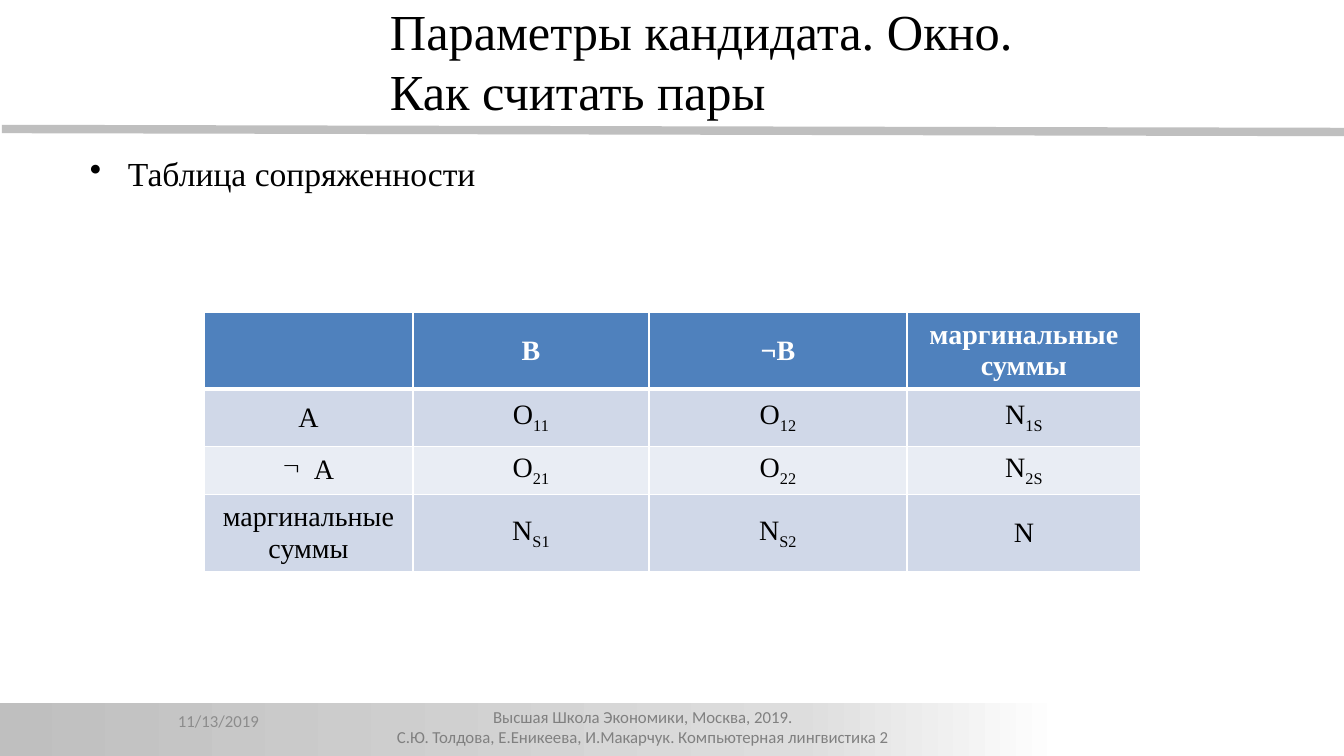
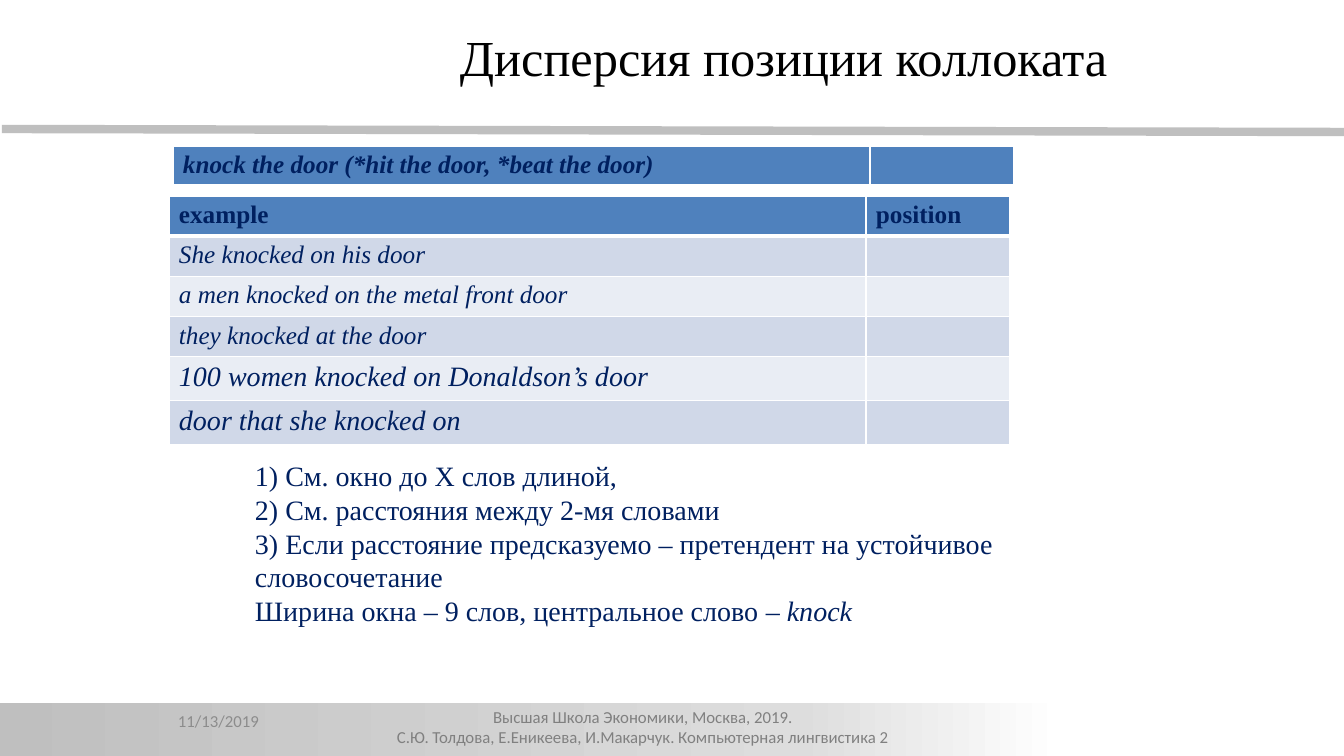
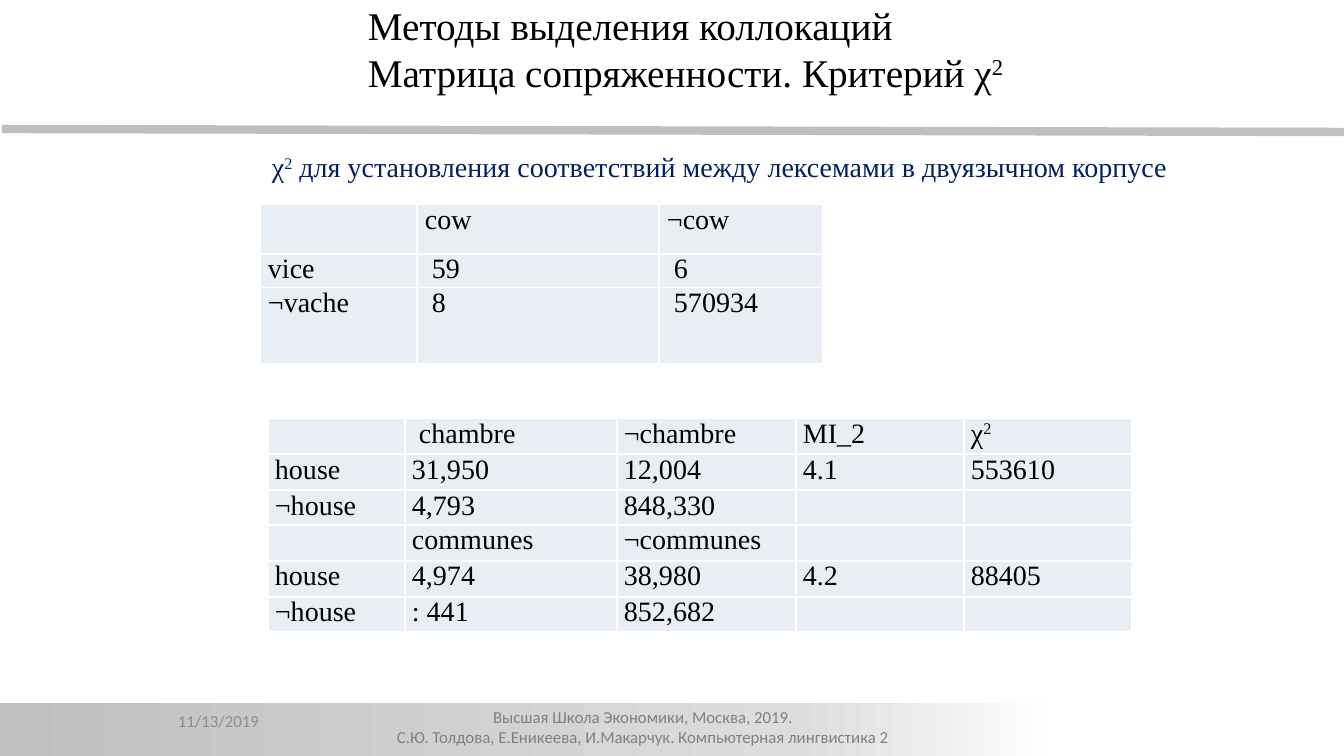
import copy
import pptx
import pptx.chart.data
import pptx.dml.color
import pptx.enum.shapes
import pptx.enum.text
import pptx.oxml
import pptx.oxml.ns
import pptx.util

PX = 12192000 / 1344
SERIF = "Times New Roman"
SANS = "Calibri"
COLOURS = {
    "black": "000000", "white": "FFFFFF", "navy": "002060",
    "header": "4F81BD", "band": "D0D8E8", "light": "E9EDF4",
    "rule": "BFBFBF", "mid": "DDDDDD", "footer": "808080", "date": "8C8C8C",
}
RGB = {name: pptx.dml.color.RGBColor.from_string(value) for name, value in COLOURS.items()}
NS = pptx.oxml.ns.nsdecls("a")
LEFT = pptx.enum.text.PP_ALIGN.LEFT
CENTER = pptx.enum.text.PP_ALIGN.CENTER
TOP = pptx.enum.text.MSO_ANCHOR.TOP
MIDDLE = pptx.enum.text.MSO_ANCHOR.MIDDLE


def write(paragraph, text, size, colour, bold=False, italic=False, font=SERIF, shift=30):
    for index, part in enumerate(text.split("|")):
        run = paragraph.add_run()
        run.text = part
        run.font.size = pptx.util.Pt(size)
        run.font.name = font
        run.font.bold = bold
        run.font.italic = italic
        run.font.color.rgb = RGB[colour]
        if index % 2:
            run.font._element.set("baseline", str(shift * 1000))


def add_grid(slide, left, top, widths, heights, fills, margins, header=False):
    frame = slide.shapes.add_table(
        len(heights), len(widths),
        *[round(v * PX) for v in (left, top, sum(widths), sum(heights))])
    table = frame.table
    for column, width in zip(table.columns, widths):
        column.width = round(width * PX)
    for index, (row, height) in enumerate(zip(table.rows, heights)):
        row.height = round(height * PX)
        for cell in row.cells:
            cell.margin_left = cell.margin_right = round(margins[0] * PX)
            cell.margin_top = cell.margin_bottom = round(margins[1] * PX)
            for side in ("lnL", "lnR", "lnT", "lnB"):
                thick = header and (index, side) in ((0, "lnB"), (1, "lnT"))
                cell._tc.get_or_add_tcPr().append(pptx.oxml.parse_xml(
                    f'<a:{side} {NS} w="{38100 if thick else 12700}"><a:solidFill>'
                    f'<a:srgbClr val="{COLOURS["white"]}"/></a:solidFill></a:{side}>'))
            cell.fill.solid()
            cell.fill.fore_color.rgb = RGB[fills[index]]
    return table


presentation = pptx.Presentation()
presentation.slide_width = round(1344 * PX)
presentation.slide_height = round(756 * PX)
slides = [presentation.slides.add_slide(presentation.slide_layouts[6]) for _ in range(3)]
window_slide, dispersion_slide, criterion_slide = slides

footer = [
    "Высшая Школа Экономики, Москва, 2019.",
    "С.Ю. Толдова, Е.Еникеева, И.Макарчук. Компьютерная лингвистика 2",
]
text_boxes = []
for slide in slides:
    rule = slide.shapes.add_connector(
        pptx.enum.shapes.MSO_CONNECTOR.STRAIGHT,
        *[round(v * PX) for v in (2, 129, 1346, 132)])
    rule.line.color.rgb = RGB["rule"]
    rule.line.width = pptx.util.Pt(6)
    rule._element.spPr.append(pptx.oxml.parse_xml(f"<a:effectLst {NS}/>"))

    band = slide.shapes.add_shape(
        pptx.enum.shapes.MSO_SHAPE.RECTANGLE,
        *[round(v * PX) for v in (-1, 703, 1064, 57)])
    band.shadow.inherit = False
    band.line.fill.background()
    band.fill.gradient()
    band.fill.gradient_angle = 0
    stop_list = band._element.spPr.find(".//" + pptx.oxml.ns.qn("a:gsLst"))
    stop_list.append(copy.deepcopy(stop_list[0]))
    for stop, position, colour in zip(
            band.fill.gradient_stops, (0, 0.75, 1), ("rule", "mid", "white")):
        stop.position = position
        stop.color.rgb = RGB[colour]

    text_boxes += [
        (slide, (256, 702, 774, 45), TOP, CENTER, footer, 12, "footer", SANS),
        (slide, (168, 701, 235, 40), MIDDLE, LEFT, ["11/13/2019"], 12, "date", SANS),
    ]

text_boxes += [
    (window_slide, (380, 5, 737, 111), MIDDLE, LEFT,
     ["Параметры кандидата. Окно.", "Как считать пары"], 36, "black", SERIF),
    (window_slide, (80, 148, 1175, 508), TOP, LEFT,
     ["Таблица сопряженности"], 24, "black", SERIF),
    (dispersion_slide, (450, 21, 726, 72), TOP, LEFT,
     ["Дисперсия позиции коллоката"], 36, "black", SERIF),
    (dispersion_slide, (245, 454, 889, 178), TOP, LEFT,
     ["1) См. окно до Х слов длиной,",
      "2) См. расстояния между 2-мя словами",
      "3) Если расстояние предсказуемо – претендент на устойчивое словосочетание",
      "Ширина окна – 9 слов, центральное слово "], 20, "navy", SERIF),
    (criterion_slide, (358, -4, 776, 105), TOP, LEFT,
     ["Методы выделения коллокаций", "Матрица сопряженности. Критерий χ|2"],
     28, "black", SERIF),
    (criterion_slide, (262, 145, 926, 42), TOP, LEFT,
     ["χ|2| для установления соответствий между лексемами в двуязычном корпусе"],
     20, "navy", SERIF),
]
for slide, box, anchor, alignment, lines, size, colour, font in text_boxes:
    shape = slide.shapes.add_textbox(*[round(v * PX) for v in box])
    frame = shape.text_frame
    frame.word_wrap = True
    frame.vertical_anchor = anchor
    for index, line in enumerate(lines):
        paragraph = frame.add_paragraph() if index else frame.paragraphs[0]
        paragraph.alignment = alignment
        write(paragraph, line, size, colour, font=font)
    if line.startswith("Таблица"):
        hanging, bullet = paragraph, "•"
        properties = hanging._p.get_or_add_pPr()
        properties.set("marL", str(round(38 * PX)))
        properties.set("indent", str(round(-38 * PX)))
        properties.append(pptx.oxml.parse_xml(f'<a:buChar {NS} char="{bullet}"/>'))
    if line.startswith("Ширина"):
        write(paragraph, "– knock", size, colour, italic=True)

pair_rows = [
    ["", "B", "¬B", "маргинальные суммы"],
    ["A", "O|11", "O|12", "N|1S"],
    ["A", "O|21", "O|22", "N|2S"],
    ["маргинальные суммы", "N|S1", "N|S2", "N"],
]
pair_table = add_grid(window_slide, 204, 312, [209, 236, 258, 234], [72, 57, 47, 72],
                      ["header", "band", "light", "band"], (10, 5), header=True)
for row_index, row in enumerate(pair_rows):
    for column_index, text in enumerate(row):
        cell = pair_table.cell(row_index, column_index)
        cell.vertical_anchor = MIDDLE
        paragraph = cell.text_frame.paragraphs[0]
        paragraph.alignment = CENTER
        if text:
            write(paragraph, text, 20, "black" if row_index else "white",
                  bold=row_index == 0, shift=-25)
properties = pair_table.cell(2, 0).text_frame.paragraphs[0]._p.get_or_add_pPr()
properties.set("marL", str(round(31 * PX)))
properties.set("indent", str(round(-31 * PX)))
properties.append(pptx.oxml.parse_xml(f'<a:buChar {NS} char="¬"/>'))

example_table = add_grid(dispersion_slide, 169, 196, [697, 144], [40] * 4 + [44] * 2,
                         ["header"] + ["band", "light"] * 2 + ["band"], (10, 5), header=True)
for column_index, text in enumerate(["example", "position"]):
    write(example_table.cell(0, column_index).text_frame.paragraphs[0],
          text, 18, "navy", bold=True)
examples = [
    ("She knocked on his door", 18),
    ("a men knocked on the metal front door", 18),
    ("they knocked at the door", 18),
    ("100 women knocked on Donaldson’s door", 20),
    ("door that she knocked on", 20),
]
for row_index, (text, size) in enumerate(examples, 1):
    write(example_table.cell(row_index, 0).text_frame.paragraphs[0],
          text, size, "navy", italic=True)

phrase_table = add_grid(dispersion_slide, 173, 146, [697, 144], [40], ["header"],
                        (10, 5), header=True)
write(phrase_table.cell(0, 0).text_frame.paragraphs[0],
      "knock the door (*hit the door, *beat the door)", 18, "navy", bold=True, italic=True)

cow_rows = [
    ["", "cow", "¬cow"],
    ["vice", " 59", " 6"],
    ["¬vache", " 8", " 570934"],
]
house_rows = [
    ["", " chambre", "¬chambre", "MI_2", "χ|2"],
    ["house", "31,950", "12,004", "4.1", "553610"],
    ["¬house", "4,793", "848,330", "", ""],
    ["", "communes", "¬communes", "", ""],
    ["house", "4,974", "38,980", "4.2", "88405"],
    ["¬house", ": 441", "852,682", "", ""],
]
for left, top, widths, heights, margin, rows in [
    (260, 204, [157, 242, 164], [50, 33, 76], 8, cow_rows),
    (268, 418, [137, 212, 179, 168, 168], [36, 36, 35] * 2, 7, house_rows),
]:
    table = add_grid(criterion_slide, left, top, widths, heights,
                     ["light"] * len(rows), (margin, 0))
    for row_index, row in enumerate(rows):
        for column_index, text in enumerate(row):
            if text:
                write(table.cell(row_index, column_index).text_frame.paragraphs[0],
                      text, 20, "black")

presentation.save("out.pptx")
